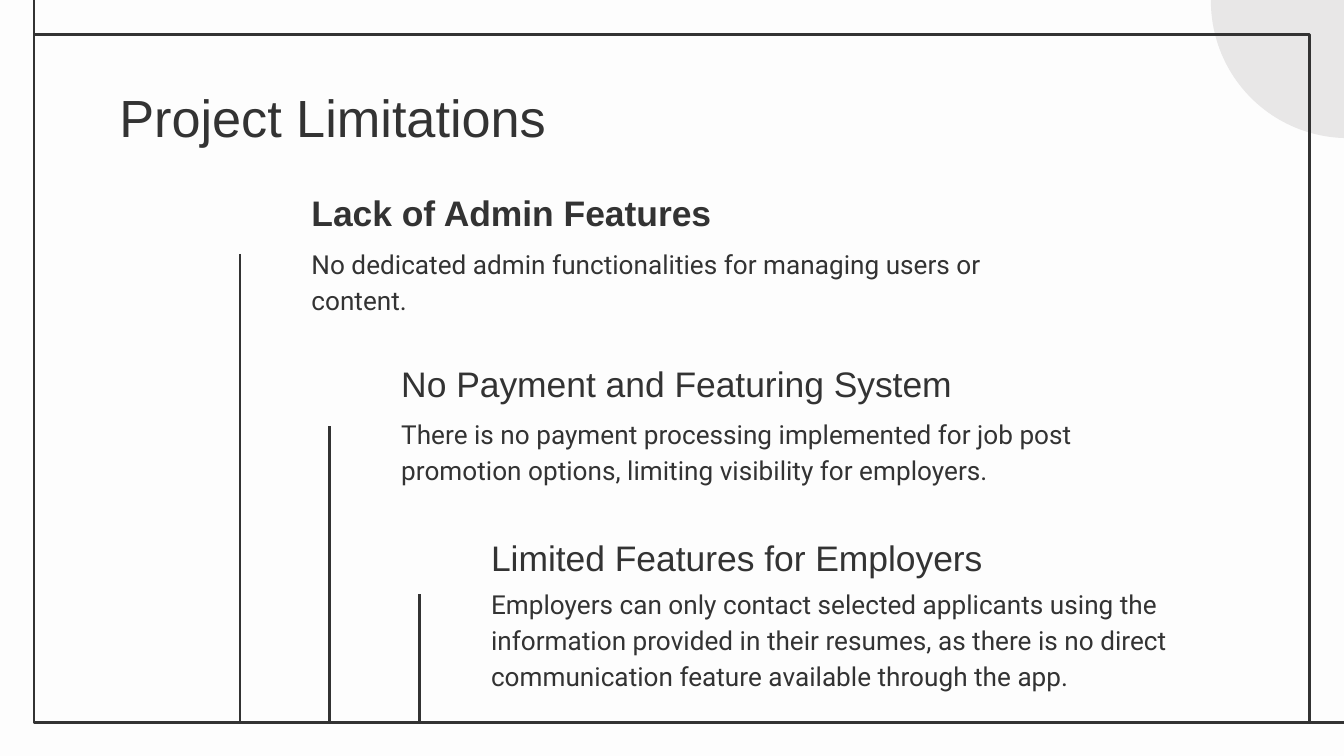
from lxml.etree import SubElement
from pptx import Presentation
from pptx.dml.color import RGBColor as Rgb
from pptx.enum.shapes import MSO_CONNECTOR as Conn, MSO_SHAPE as Shape
from pptx.enum.text import MSO_ANCHOR as Anchor
from pptx.oxml.ns import qn
from pptx.util import Pt


class Theme:
    back = Rgb.from_string("FDFDFD")
    ink = Rgb.from_string("333333")
    disc = Rgb.from_string("E8E7E7")
    head_font, body_font = "Arial", "Roboto"
    title, head, body = 28, 19, 14
    line = 1.5
    inset = 7.2


WIDE, HIGH = 720, 405
TITLE = "Project Limitations"

# heading, bold, body, heading top, body top, rule top
LIMITS = [
    ("Lack of Admin Features", True,
     "No dedicated admin functionalities for managing users or content.",
     98.7, 123.2, 136),
    ("No Payment and Featuring System", False,
     "There is no payment processing implemented for job post "
     "promotion options, limiting visibility for employers.",
     190.1, 214.6, 228.4),
    ("Limited Features for Employers", False,
     "Employers can only contact selected applicants using the information "
     "provided in their resumes, as there is no direct communication feature "
     "available through the app.",
     283.6, 305.3, 318.3),
]

LEFT, TOP, RIGHT, BASE = 18.2, 18.4, 701.5, 387
STEP_X, STEP = 159.8, 48.1
RULE_GAP = 31.2
TEXT_W, HEAD_H, BODY_H = 383.8, 33.8, 41.8

deck = Presentation()
deck.slide_width, deck.slide_height = Pt(WIDE), Pt(HIGH)
slide = deck.slides.add_slide(deck.slide_layouts[6])
slide.background.fill.solid()
slide.background.fill.fore_color.rgb = Theme.back
shapes = slide.shapes


def add_text(text, x, y, w, h, size, font=Theme.head_font, bold=False,
             anchor=Anchor.TOP, space=1.0, drop=0):
    """Add a text box; drop lowers the text inside it."""
    frame = shapes.add_textbox(Pt(x), Pt(y), Pt(w), Pt(h)).text_frame
    frame.word_wrap = True
    frame.vertical_anchor = anchor
    frame.margin_left = frame.margin_right = Pt(Theme.inset)
    frame.margin_top = Pt(Theme.inset + drop)
    frame.margin_bottom = Pt(Theme.inset)
    para = frame.paragraphs[0]
    para.line_spacing = space
    run = para.add_run()
    run.text = text
    run.font.name, run.font.size, run.font.bold = font, Pt(size), bold
    run.font.color.rgb = Theme.ink


def add_line(x1, y1, x2, y2):
    line = shapes.add_connector(Conn.STRAIGHT, Pt(x1), Pt(y1), Pt(x2), Pt(y2))
    line.line.color.rgb = Theme.ink
    line.line.width = Pt(Theme.line)
    SubElement(line._element.spPr, qn("a:effectLst"))


disc = shapes.add_shape(Shape.OVAL, Pt(648.7), Pt(-73), Pt(147), Pt(147))
disc.shadow.inherit = False
disc.fill.solid()
disc.fill.fore_color.rgb = Theme.disc
disc.line.fill.background()

frame = shapes.add_shape(Shape.RECTANGLE, Pt(LEFT), Pt(TOP),
                         Pt(RIGHT - LEFT), Pt(BASE - TOP))
frame.shadow.inherit = False
frame.fill.background()
frame.line.color.rgb = Theme.ink
frame.line.width = Pt(Theme.line)
add_line(LEFT, TOP, LEFT, 0)
add_line(RIGHT, BASE, WIDE, BASE)

add_text(TITLE, 56.9, 35.3, 607, 45.4, Theme.title, drop=3)

for i, (head, bold, body, head_y, body_y, rule_y) in enumerate(LIMITS):
    x = STEP_X + i * STEP
    add_text(body, x, body_y, TEXT_W, BODY_H, Theme.body,
             font=Theme.body_font, space=1.15)
    add_text(head, x, head_y, TEXT_W, HEAD_H, Theme.head, bold=bold,
             anchor=Anchor.BOTTOM, space=1.15)
    add_line(x - RULE_GAP, rule_y, x - RULE_GAP, BASE)

deck.save("out.pptx")
